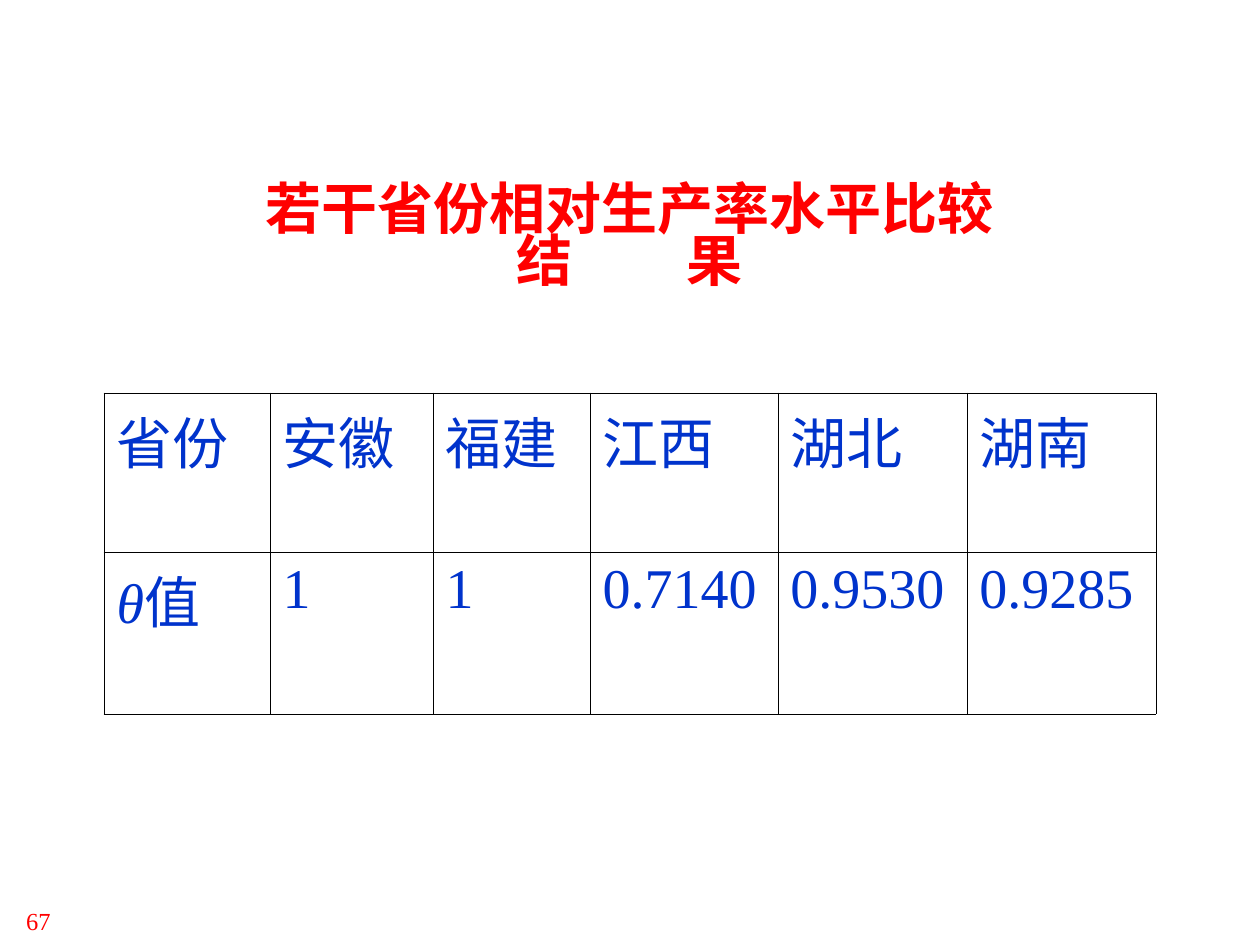
from lxml import etree
from pptx import Presentation
from pptx import util as u
from pptx.dml.color import RGBColor
from pptx.enum import text
from pptx.oxml import ns

PX = 914400 / 126
COLORS = {"accent": "FF0000", "body": "0033CC", "border": "000000", "paper": "FFFFFF"}
LATIN, CJK = "Times New Roman", "Noto Sans CJK SC"
TITLE_FORMAT = {"name": CJK, "size": u.Pt(32), "bold": True}
CELL_FORMAT = {"name": LATIN, "size": u.Pt(32), "bold": False}
NUMBER_FORMAT = {"name": LATIN, "size": u.Pt(14)}


def px(length):
    return u.Emu(round(length * PX))


def apply(target, values):
    for name, value in values.items():
        setattr(target, name, value)


class SlideBuilder:
    def __init__(self, deck):
        self.slide = deck.slides.add_slide(deck.slide_layouts[5])
        fill = self.slide.background.fill
        fill.solid()
        fill.fore_color.rgb = RGBColor.from_string(COLORS["paper"])

    def span(self, para, words, color, values, spacing=None):
        """Add a run; spacing is extra space after each letter, in points."""
        run = para.add_run()
        run.text = words
        apply(run.font, values)
        run.font.color.rgb = RGBColor.from_string(COLORS[color])
        props = run.font._element
        etree.SubElement(props, ns.qn("a:ea"), typeface=CJK)
        if spacing:
            props.set("spc", str(spacing * 100))

    def title(self, at, lines):
        """Each line is a list of (words, letter spacing) pairs."""
        box = self.slide.shapes.title
        apply(box, dict(zip(("left", "top", "width", "height"), map(px, at))))
        apply(box.text_frame, {"auto_size": text.MSO_AUTO_SIZE.NONE, "word_wrap": True,
                               "vertical_anchor": text.MSO_ANCHOR.TOP})
        para = box.text_frame.paragraphs[0]
        apply(para, {"alignment": text.PP_ALIGN.CENTER, "line_spacing": 0.77})
        for index, line in enumerate(lines):
            if index:
                para.add_line_break()
            for words, spacing in line:
                self.span(para, words, "accent", TITLE_FORMAT, spacing)

    def number(self, at, words):
        box = self.slide.shapes.add_textbox(*map(px, at))
        box.text_frame.word_wrap = True
        para = box.text_frame.paragraphs[0]
        para.alignment = text.PP_ALIGN.RIGHT
        self.span(para, words, "accent", NUMBER_FORMAT)

    def border(self, cell):
        props = cell._tc.get_or_add_tcPr()
        for side in "LRTB":
            line = etree.SubElement(props, ns.qn(f"a:ln{side}"), w=str(u.Pt(0.45)))
            solid = etree.SubElement(line, ns.qn("a:solidFill"))
            etree.SubElement(solid, ns.qn("a:srgbClr"), val=COLORS["border"])

    def table(self, left, top, widths, heights, rows):
        """Each cell is a list of (words, italic) pairs."""
        frame = self.slide.shapes.add_table(
            len(heights), len(widths), px(left), px(top), px(sum(widths)), px(sum(heights)))
        table = frame.table
        apply(table, {"first_row": False, "horz_banding": False})
        for column, width in zip(table.columns, widths):
            column.width = px(width)
        for row, height, contents in zip(table.rows, heights, rows):
            row.height = px(height)
            for cell, spans in zip(row.cells, contents):
                self.border(cell)
                cell.fill.background()
                for words, italic in spans:
                    self.span(cell.text_frame.paragraphs[0], words, "body",
                              {**CELL_FORMAT, "italic": italic})


def main():
    deck = Presentation()
    apply(deck, {"slide_width": px(1260), "slide_height": px(945)})
    page = SlideBuilder(deck)
    page.number((0, 900, 63, 35), "67")
    page.title((94, 182, 1071, 158),
               [[("若干省份相对生产率水平比较", None)],
                [("结", None), (" ", 58), ("果", None)]])
    provinces = {"安徽": "1", "福建": "1", "江西": "0.7140", "湖北": "0.9530", "湖南": "0.9285"}
    names = [[("省份", False)]] + [[(name, False)] for name in provinces]
    values = [[("θ", True), ("值", False)]] + [[(value, False)] for value in provinces.values()]
    page.table(104, 393, (166, 163, 157, 188, 189, 189), (159, 162), (names, values))
    deck.save("out.pptx")


if __name__ == "__main__":
    main()
